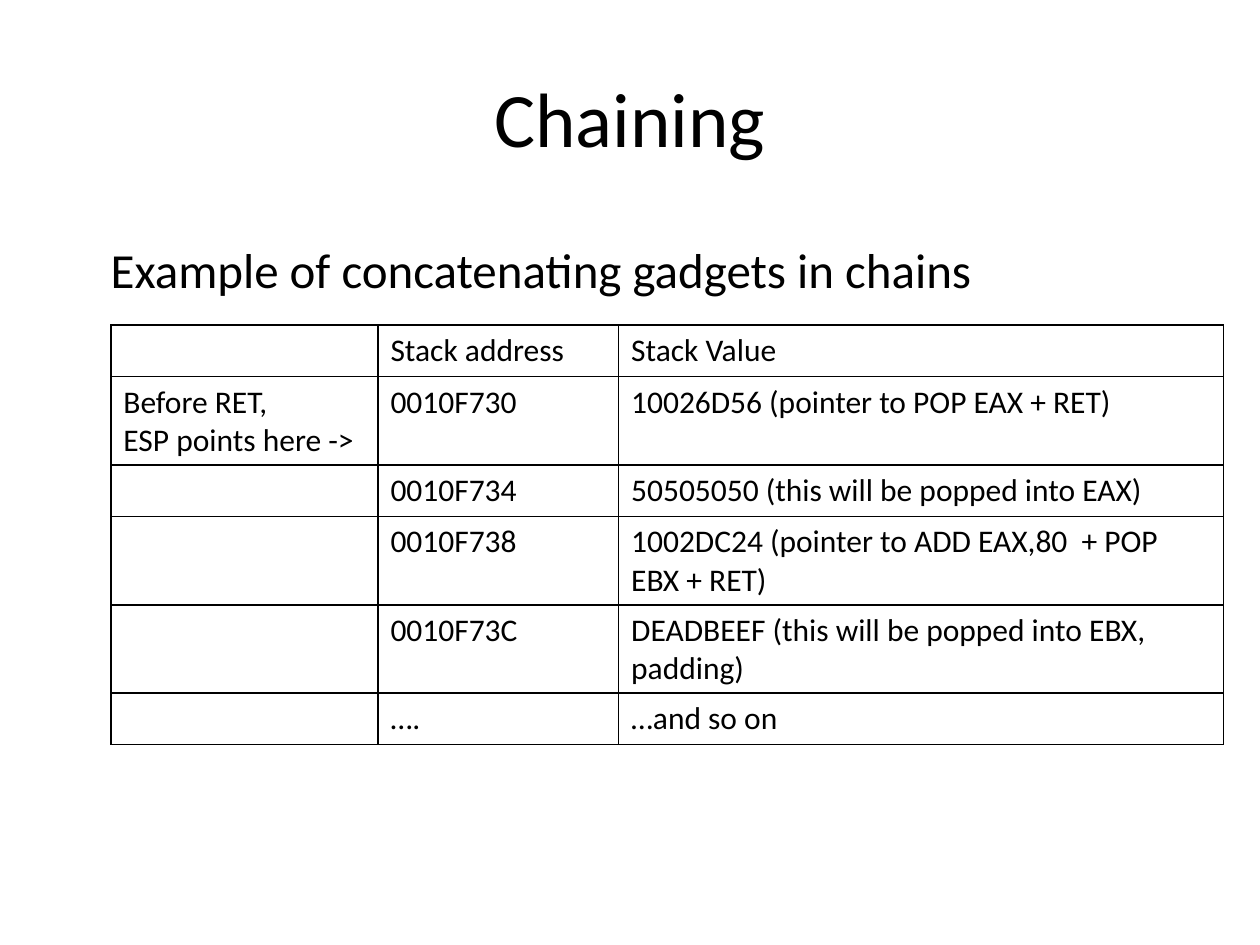
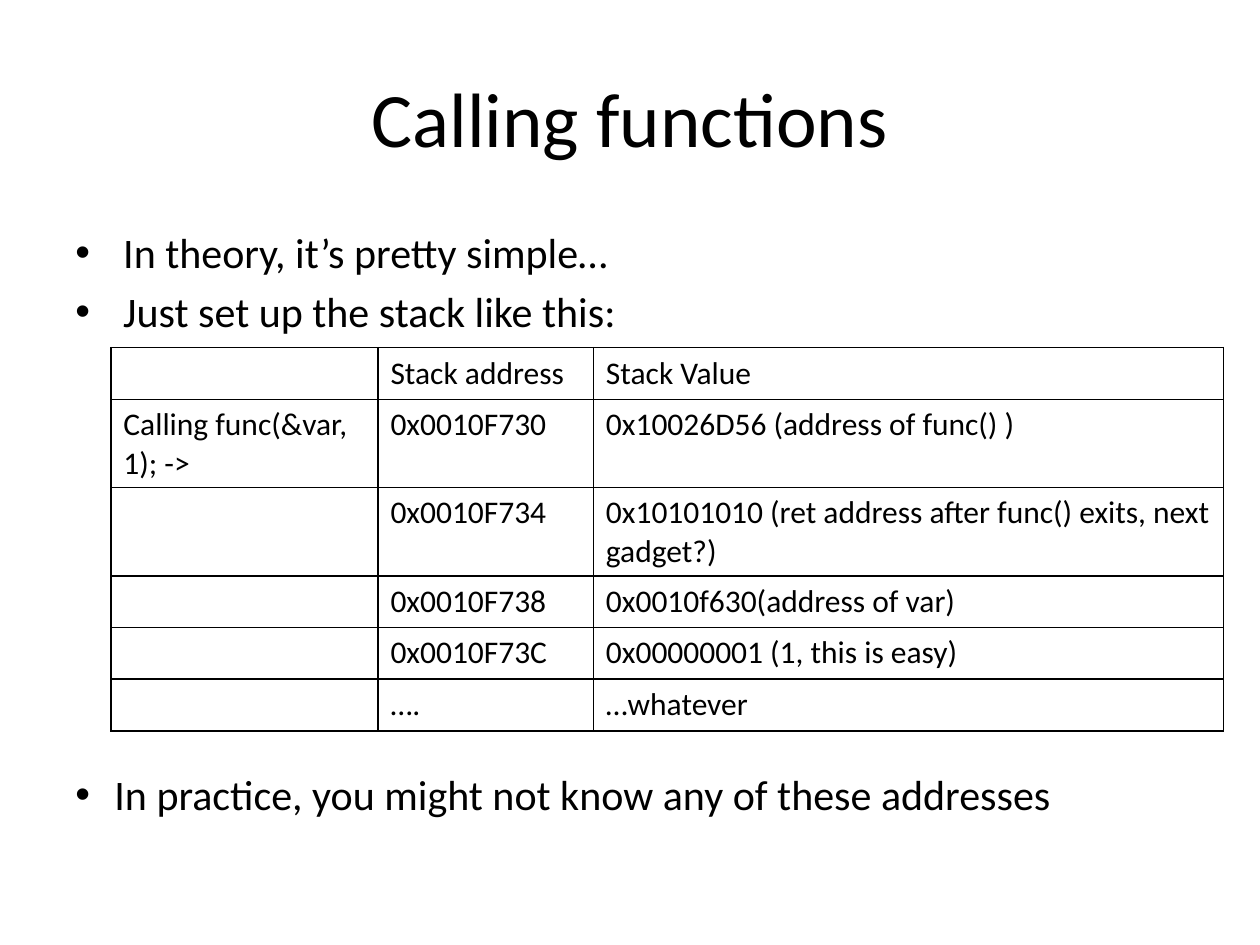
from dataclasses import dataclass

from lxml.etree import SubElement
from pptx import Presentation
from pptx.dml.color import RGBColor
from pptx.enum.text import MSO_ANCHOR, PP_ALIGN
from pptx.oxml.ns import qn
from pptx.util import Inches, Pt


@dataclass(frozen=True)
class Theme:
    font: str = "Calibri"
    ink: RGBColor = RGBColor(0, 0, 0)
    title: int = 44
    lead: int = 28
    bullet: int = 24
    cell: int = 18
    border: int = 1


THEME = Theme()
TITLE_ONLY = 5


def write(frame, lines, size, indent=0, space_before=0):
    """Fill a text frame; a positive indent gives each line a hanging bullet."""
    frame.text = "\n".join(lines)
    for paragraph in frame.paragraphs:
        paragraph.space_before = Pt(space_before)
        for run in paragraph.runs:
            run.font.name = THEME.font
            run.font.size = Pt(size)
            run.font.color.rgb = THEME.ink
        if indent:
            properties = paragraph._p.get_or_add_pPr()
            properties.set("marL", str(Inches(indent)))
            properties.set("indent", str(-Inches(indent)))
            SubElement(properties, qn("a:buFont"), typeface="Arial")
            SubElement(properties, qn("a:buChar"), char="•")


def draw_borders(cell):
    properties = cell._tc.get_or_add_tcPr()
    for side in ("a:lnL", "a:lnR", "a:lnT", "a:lnB"):
        line = SubElement(properties, qn(side), w=str(Pt(THEME.border)))
        fill = SubElement(line, qn("a:solidFill"))
        SubElement(fill, qn("a:srgbClr"), val=str(THEME.ink))


# Each text: (left, top, width, height), lines, size, indent, space before
pages = [
    {
        "title": "Chaining",
        "texts": [
            ((0.78, 1.85, 7.45, 0.57),
             ["Example of concatenating gadgets in chains"], THEME.lead, 0, 0),
        ],
        "stack_top": 2.58,
        "columns": (2.12, 1.91, 4.8),
        "stack": [
            ("", "Stack address", "Stack Value"),
            ("Before RET,\nESP points here ->", "0010F730",
             "10026D56 (pointer to POP EAX + RET)"),
            ("", "0010F734", "50505050 (this will be popped into EAX)"),
            ("", "0010F738",
             "1002DC24 (pointer to ADD EAX,80  + POP EBX + RET)"),
            ("", "0010F73C",
             "DEADBEEF (this will be popped into EBX, padding)"),
            ("", "….", "…and so on"),
        ],
    },
    {
        "title": "Calling functions",
        "texts": [
            ((0.5, 1.75, 9, 1.28),
             ["In theory, it’s pretty simple…",
              "Just set up the stack like this:"],
             THEME.bullet, 0.38, 0.2 * THEME.bullet),
            ((0.5, 6.05, 8.72, 0.5),
             ["In practice, you might not know any of these addresses"],
             THEME.bullet, 0.31, 0),
        ],
        "stack_top": 2.76,
        "columns": (2.12, 1.71, 5),
        "stack": [
            ("", "Stack address", "Stack Value"),
            ("Calling func(&var, 1); ->", "0x0010F730",
             "0x10026D56 (address of func() )"),
            ("", "0x0010F734",
             "0x10101010 (ret address after func() exits, next gadget?)"),
            ("", "0x0010F738", "0x0010f630(address of var)"),
            ("", "0x0010F73C", "0x00000001 (1, this is easy)"),
            ("", "….", "…whatever"),
        ],
    },
]

deck = Presentation()
deck.slide_width, deck.slide_height = Inches(10), Inches(7.5)

for page in pages:
    slide = deck.slides.add_slide(deck.slide_layouts[TITLE_ONLY])
    title = slide.shapes.title
    title.left, title.top = Inches(0.5), Inches(0.3)
    title.width, title.height = Inches(9), Inches(1.25)
    write(title.text_frame, [page["title"]], THEME.title)
    title.text_frame.vertical_anchor = MSO_ANCHOR.MIDDLE
    title.text_frame.paragraphs[0].alignment = PP_ALIGN.CENTER

    for box, lines, size, indent, space_before in page["texts"]:
        frame = slide.shapes.add_textbox(*map(Inches, box)).text_frame
        frame.word_wrap = True
        write(frame, lines, size, indent, space_before)

    rows, columns = page["stack"], page["columns"]
    row_height = 0.41
    stack = slide.shapes.add_table(
        len(rows), len(columns), Inches(0.88), Inches(page["stack_top"]),
        Inches(sum(columns)), Inches(row_height * len(rows))).table
    stack.first_row = stack.horz_banding = False
    for column, width in zip(stack.columns, columns):
        column.width = Inches(width)
    for row, values in zip(stack.rows, rows):
        row.height = Inches(row_height)
        for cell, value in zip(row.cells, values):
            write(cell.text_frame, value.split("\n"), THEME.cell)
            draw_borders(cell)
            cell.fill.background()

deck.save("out.pptx")
